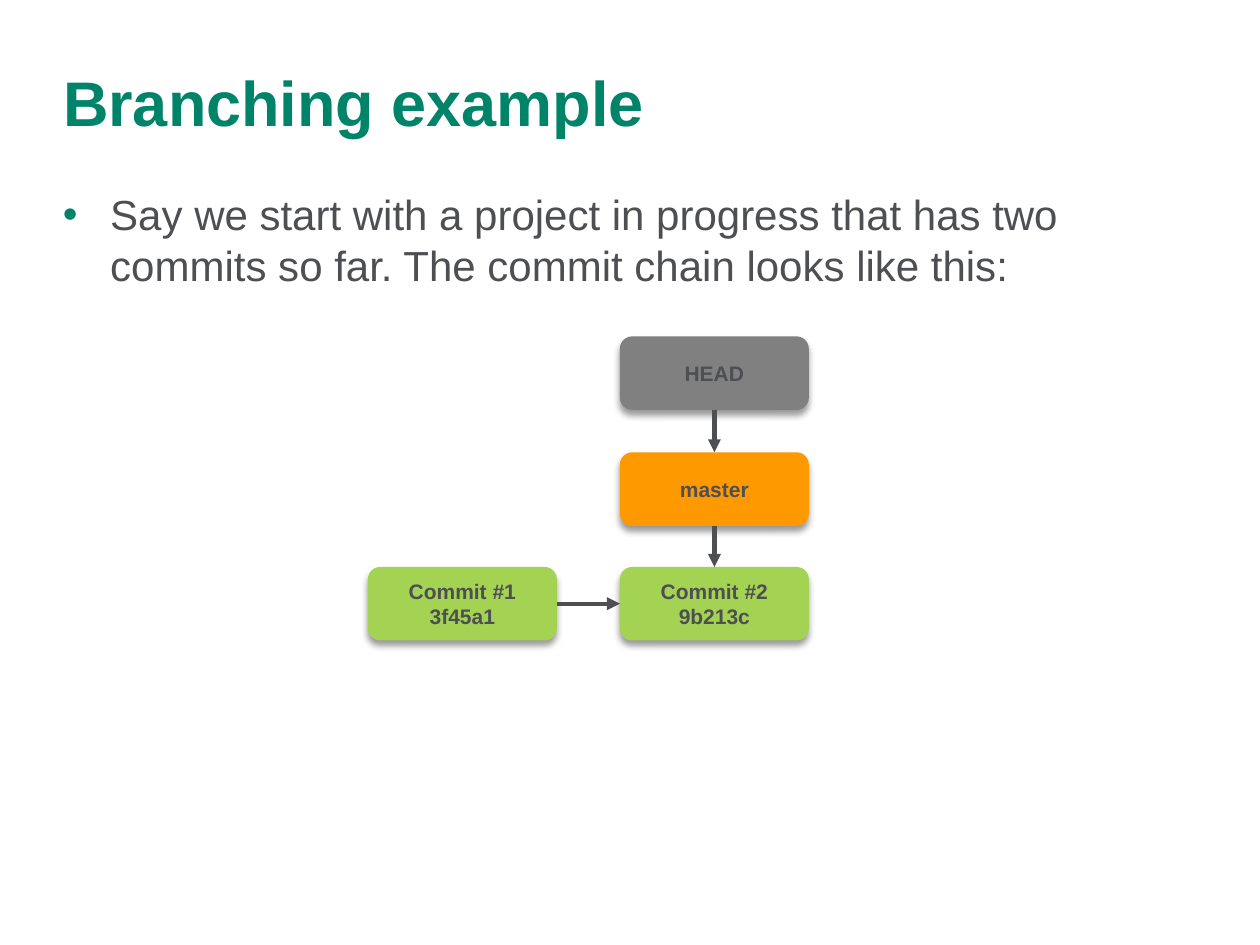
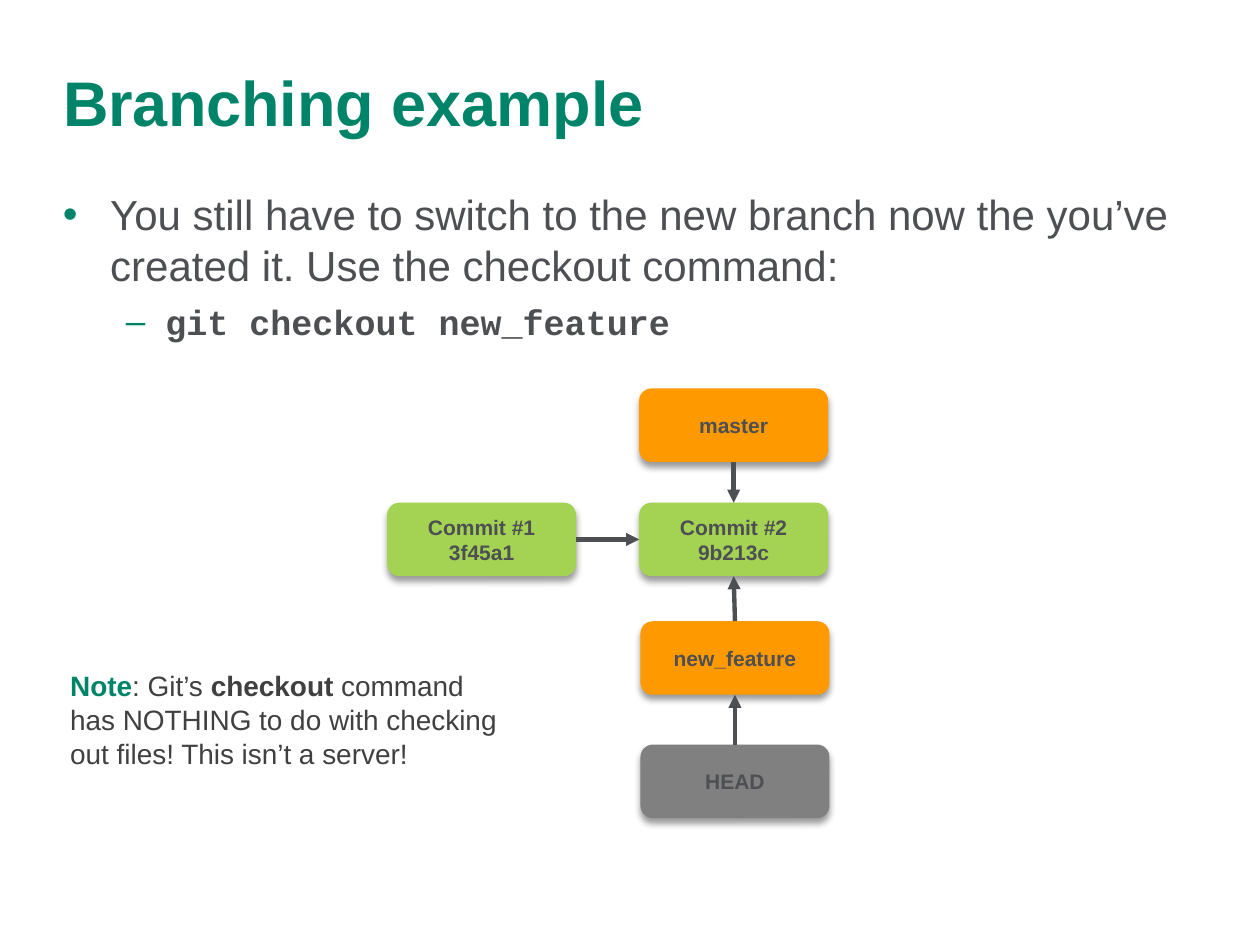
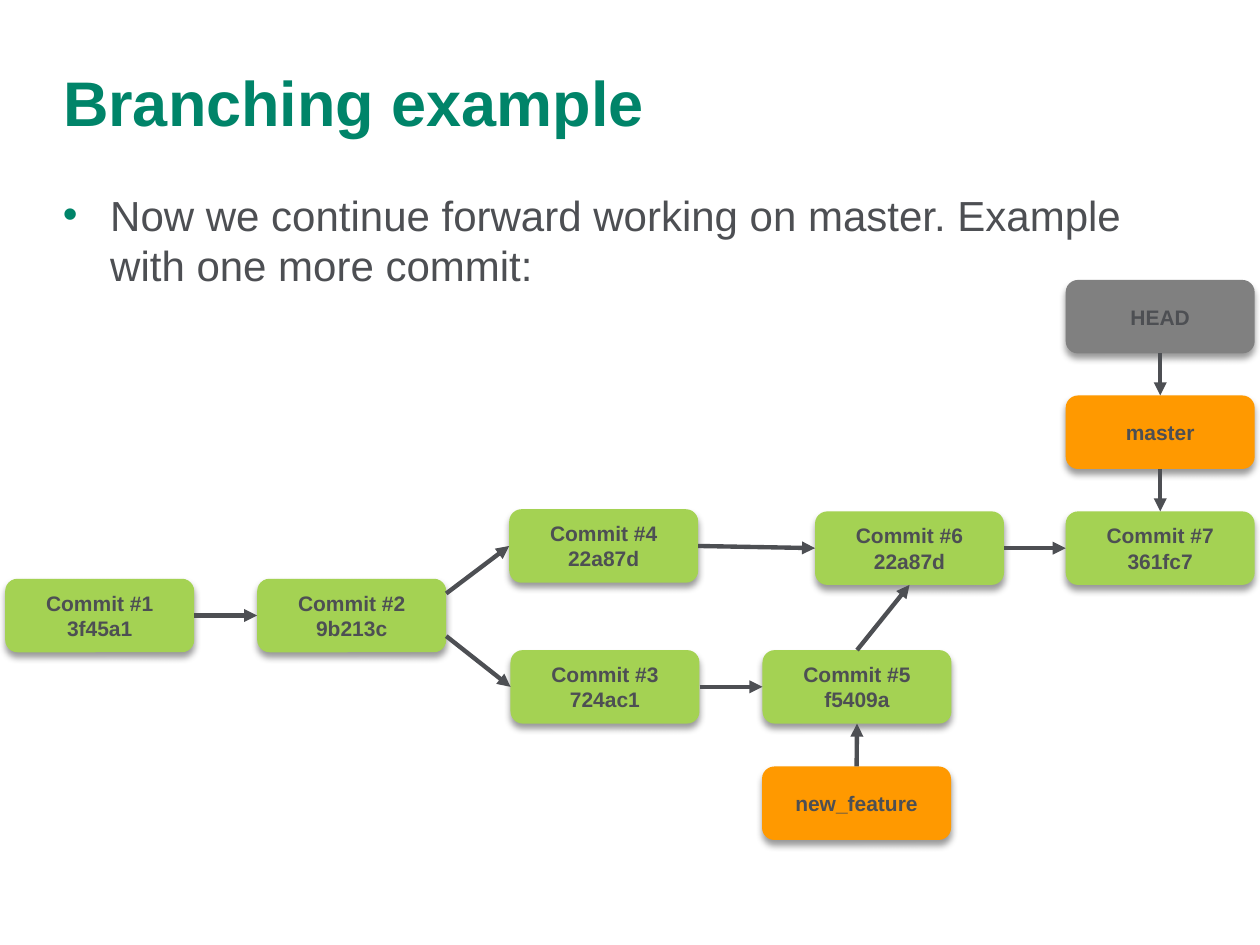
"""Build three slides that explain Git branching with commit diagrams."""
from pptx import Presentation
from pptx.dml.color import RGBColor
from pptx.enum.shapes import MSO_CONNECTOR, MSO_SHAPE
from pptx.enum.text import MSO_ANCHOR, PP_ALIGN
from pptx.oxml import parse_xml
from pptx.oxml.ns import nsdecls, qn
from pptx.util import Pt

STRAIGHT = MSO_CONNECTOR.STRAIGHT
ROUNDED = MSO_SHAPE.ROUNDED_RECTANGLE
ANCHOR_TOP, ANCHOR_MIDDLE = MSO_ANCHOR.TOP, MSO_ANCHOR.MIDDLE
LEFT_ALIGN, CENTER = PP_ALIGN.LEFT, PP_ALIGN.CENTER

GREEN = RGBColor(0x00, 0x84, 0x69)
GRAY = RGBColor(0x4D, 0x4F, 0x53)
DARK = RGBColor(0x40, 0x40, 0x40)
COMMIT = RGBColor(0xA4, 0xD2, 0x53)
BRANCH = RGBColor(0xFF, 0x99, 0x00)
HEAD = RGBColor(0x80, 0x80, 0x80)
FILLS = {"HEAD": HEAD, "master": BRANCH, "new_feature": BRANCH}

BOX_W, BOX_H = 108, 42
TOP, BOTTOM, LEFT, RIGHT = (0.5, 0), (0.5, 1), (0, 0.5), (1, 0.5)
FORK_UP, FORK_DOWN = (1, 0.2), (1, 0.78)

C1, C2, C3, C4, C5, C6, C7 = (
    "Commit #1\n3f45a1", "Commit #2\n9b213c", "Commit #3\n724ac1",
    "Commit #4\n22a87d", "Commit #5\nf5409a", "Commit #6\n22a87d",
    "Commit #7\n361fc7")

SHADOW = (f'<a:outerShdw {nsdecls("a")} blurRad="{Pt(4)}" dist="{Pt(3)}" dir="5400000" '
          'rotWithShape="0"><a:srgbClr val="000000"><a:alpha val="40000"/>'
          '</a:srgbClr></a:outerShdw>')

# level: bullet, left margin, hanging indent, font, size, bold
LEVELS = [("•", 27, 27, "Arial", 24, False),
          ("–", 58.5, 22.5, "Courier New", 20, True)]

SLIDES = [
    {"body": ["Say we start with a project in progress that has two commits so far. "
              "The commit chain looks like this:"],
     "body_height": 66,
     "boxes": {C1: (210.25, 324), C2: (354.25, 324),
               "master": (354.25, 258.5), "HEAD": (354.25, 192.25)},
     "arrows": [(C1, RIGHT, C2, LEFT), ("HEAD", BOTTOM, "master", TOP),
                ("master", BOTTOM, C2, TOP)]},
    {"body": ["You still have to switch to the new branch now the you’ve created it. "
              "Use the checkout command:", "git checkout new_feature"],
     "body_height": 102,
     "boxes": {C1: (221.25, 287.25), C2: (365.25, 287.25), "master": (365.25, 222),
               "HEAD": (366, 425.5), "new_feature": (366, 355)},
     "arrows": [(C1, RIGHT, C2, LEFT), ("HEAD", TOP, "new_feature", BOTTOM),
                ("master", BOTTOM, C2, TOP), ("new_feature", TOP, C2, BOTTOM)]},
    {"body": ["Now we continue forward working on master. Example with one more commit:"],
     "body_height": 60,
     "boxes": {C1: (3, 330.75), C2: (147, 330.75), "master": (609, 226),
               "HEAD": (609, 160), "new_feature": (435.5, 438), C3: (291.75, 371.5),
               C4: (291, 291), C5: (435.75, 371.5), C6: (465.75, 292.25),
               C7: (609, 292.25)},
     "arrows": [(C1, RIGHT, C2, LEFT), ("HEAD", BOTTOM, "master", TOP),
                ("master", BOTTOM, C7, TOP), ("new_feature", TOP, C5, BOTTOM),
                (C2, FORK_DOWN, C3, LEFT), (C2, FORK_UP, C4, LEFT),
                (C3, RIGHT, C5, LEFT), (C4, RIGHT, C6, LEFT),
                (C5, TOP, C6, BOTTOM), (C6, RIGHT, C7, LEFT)]},
]

NOTE = [[("Note", GREEN, True), (": Git’s ", DARK, False),
         ("checkout ", DARK, True), ("command", DARK, False)],
        [("has NOTHING to do with checking", DARK, False)],
        [("out files! This isn’t a server!", DARK, False)]]


def style(p, size, color, bold, name="Arial"):
    for r in p.runs:
        r.font.name, r.font.size, r.font.bold = name, Pt(size), bold
        r.font.color.rgb = color


def frame(shape, anchor):
    tf = shape.text_frame
    tf.word_wrap = True
    tf.vertical_anchor = anchor
    tf.margin_left = tf.margin_right = tf.margin_top = tf.margin_bottom = 0
    return tf


prs = Presentation()
prs.slide_width, prs.slide_height = Pt(720), Pt(540)

for content in SLIDES:
    s = prs.slides.add_slide(prs.slide_layouts[5])
    title = s.shapes.title
    title.left, title.top, title.width, title.height = Pt(36), Pt(36), Pt(648), Pt(72)
    tf = frame(title, ANCHOR_TOP)
    tf.text = "Branching example"
    tf.paragraphs[0].alignment = LEFT_ALIGN
    style(tf.paragraphs[0], 36, GREEN, True)

    body = s.shapes.add_textbox(Pt(36), Pt(108), Pt(648), Pt(content["body_height"]))
    tf = frame(body, ANCHOR_TOP)
    tf.text = "\n".join(content["body"])
    for level, p in enumerate(tf.paragraphs):
        bullet, margin, hanging, name, size, bold = LEVELS[level]
        pPr = p._p.get_or_add_pPr()
        pPr.set("marL", str(Pt(margin)))
        pPr.set("indent", str(-Pt(hanging)))
        pPr.append(parse_xml(f'<a:buClr {nsdecls("a")}><a:srgbClr val="{GREEN}"/></a:buClr>'))
        pPr.append(parse_xml(f'<a:buFont {nsdecls("a")} typeface="Arial"/>'))
        pPr.append(parse_xml(f'<a:buChar {nsdecls("a")} char="{bullet}"/>'))
        p.level = level
        if level:
            p.space_before = Pt(6)
        style(p, size, GRAY, bold, name)

    for label, (x, y) in content["boxes"].items():
        box = s.shapes.add_shape(ROUNDED, Pt(x), Pt(y), Pt(BOX_W), Pt(BOX_H))
        box.fill.solid()
        box.fill.fore_color.rgb = FILLS.get(label, COMMIT)
        box.line.fill.background()
        box.shadow.inherit = False
        box.element.spPr.find(qn("a:effectLst")).append(parse_xml(SHADOW))
        tf = frame(box, ANCHOR_MIDDLE)
        tf.text = label
        for p in tf.paragraphs:
            p.alignment = CENTER
            style(p, 12, GRAY, True)

    for start, start_side, end, end_side in content["arrows"]:
        (x1, y1), (x2, y2) = [
            (content["boxes"][label][0] + fx * BOX_W, content["boxes"][label][1] + fy * BOX_H)
            for label, (fx, fy) in ((start, start_side), (end, end_side))]
        arrow = s.shapes.add_connector(STRAIGHT, Pt(x1), Pt(y1), Pt(x2), Pt(y2))
        arrow.line.color.rgb = GRAY
        arrow.line.width = Pt(2.5)
        spPr = arrow.element.spPr
        spPr.find(qn("a:ln")).append(parse_xml(f'<a:tailEnd {nsdecls("a")} type="triangle"/>'))
        spPr.append(parse_xml(f'<a:effectLst {nsdecls("a")}/>'))

note = prs.slides[1].shapes.add_textbox(Pt(33), Pt(378.75), Pt(265.75), Pt(65.5))
tf = note.text_frame
tf.word_wrap = False
for i, line in enumerate(NOTE):
    p = tf.add_paragraph() if i else tf.paragraphs[0]
    for text, color, bold in line:
        r = p.add_run()
        r.text = text
        r.font.name, r.font.size, r.font.bold = "Arial", Pt(16), bold
        r.font.color.rgb = color

prs.save("out.pptx")
